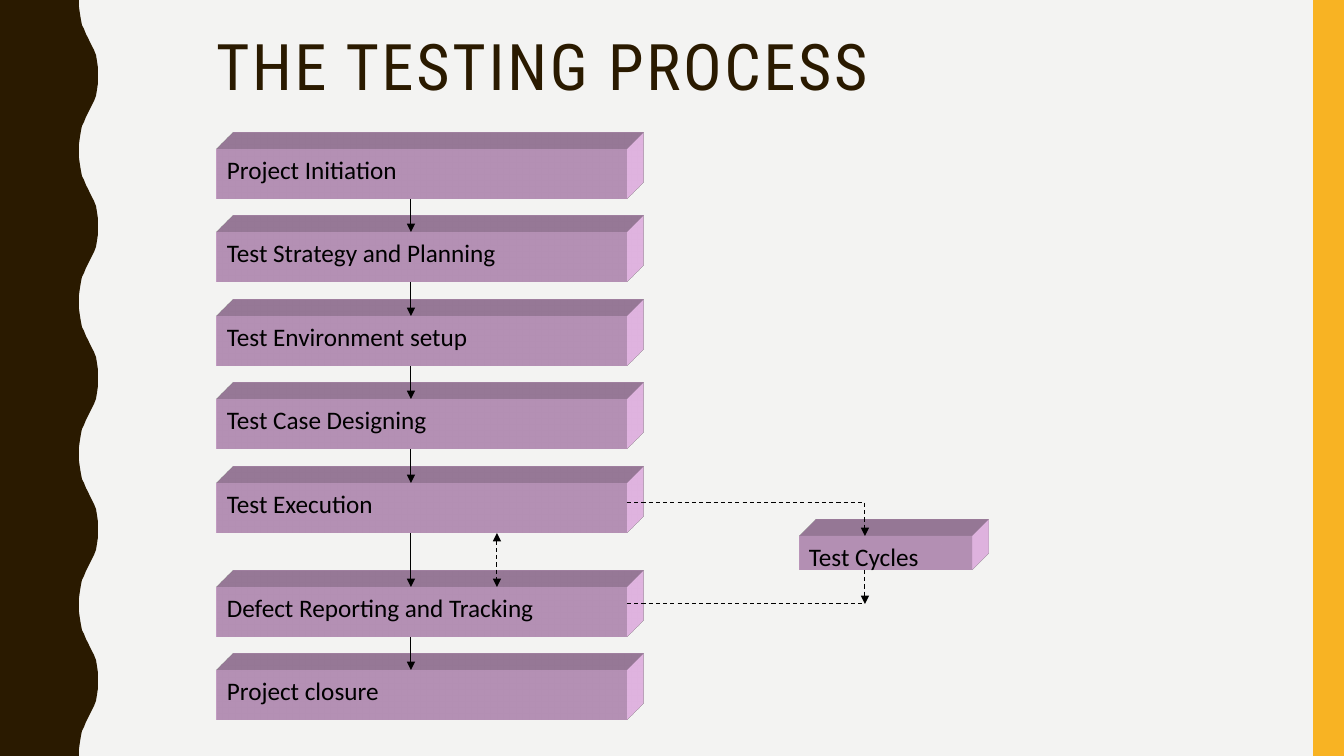
from lxml.etree import SubElement
from pptx import Presentation
from pptx.dml.color import RGBColor
from pptx.enum.dml import MSO_LINE
from pptx.enum.shapes import MSO_CONNECTOR, MSO_SHAPE
from pptx.enum.text import MSO_ANCHOR, PP_ALIGN
from pptx.oxml import parse_xml
from pptx.oxml.ns import nsdecls, qn
from pptx.util import Pt

TITLE = "THE TESTING PROCESS"
STEPS = [
    "Project Initiation",
    "Test Strategy and Planning",
    "Test Environment setup",
    "Test Case Designing",
    "Test Execution",
    "Defect Reporting and Tracking",
    "Project closure",
]
CYCLES = "Test Cycles"

PAPER, BROWN, GOLD, PINK, BLACK = "F3F3F2", "2A1A00", "F8B323", "FFCCFF", "000000"
SCALE = 914400 / 100.8
WIDTH, HEIGHT = 1344, 756
WAVES = 5
HALF_WAVE = [(79, 0), (79, 7), (80, 14), (81, 20), (82, 25), (84, 29), (86, 34), (88, 38),
             (90, 42), (92, 46), (94, 50), (96, 55), (97, 61), (98, 68), (98, 76)]
STEP_LEFT, STEP_TOP, STEP_WIDTH, STEP_HEIGHT = 217, 149, 410, 50
STEP_PITCH, EXTRA_GAP, EXECUTION = 83.4, 21, 4
FLOW_X, LOOP_X, CYCLES_X = 411, 497, 865
CYCLES_BOX = (799, 536, 173, 34)
BRANCH_DROP = 20

SCENE = """<a:scene3d %s><a:camera prst="legacyObliqueTopRight"/>
<a:lightRig rig="legacyFlat3" dir="b"/></a:scene3d>"""
SOLID = """<a:sp3d %s extrusionH="430200" prstMaterial="legacyMatte">
<a:bevelT w="13500" h="13500" prst="angle"/><a:bevelB w="13500" h="13500" prst="angle"/>
<a:extrusionClr><a:srgbClr val="FFCCFF"/></a:extrusionClr></a:sp3d>"""


def emu(length):
    return round(length * SCALE)


def colour(value):
    return RGBColor.from_string(value)


def paint(shape, value):
    shape.shadow.inherit = False
    shape.fill.solid()
    shape.fill.fore_color.rgb = colour(value)
    shape.line.fill.background()


def write(shape, text, font="Calibri", size=18, value=BLACK, wrap=True):
    frame = shape.text_frame
    frame.word_wrap = wrap
    frame.vertical_anchor = MSO_ANCHOR.TOP
    para = frame.paragraphs[0]
    para.alignment = PP_ALIGN.LEFT
    span = para.add_run()
    span.text = text
    span.font.name = font
    span.font.size = Pt(size)
    span.font.color.rgb = colour(value)
    return para, span


def add_rectangle(slide, bounds, value):
    box = slide.shapes.add_shape(MSO_SHAPE.RECTANGLE, *map(emu, bounds))
    paint(box, value)
    return box


def add_block(slide, text, bounds):
    block = add_rectangle(slide, bounds, PINK)
    for part in (SCENE, SOLID):
        block.element.spPr.append(parse_xml(part % nsdecls("a")))
    write(block, text)


def add_line(slide, start, end, dashed=False, head=False, tail=False):
    line = slide.shapes.add_connector(MSO_CONNECTOR.STRAIGHT, *map(emu, start + end))
    line.line.color.rgb = colour(BLACK)
    line.line.width = Pt(0.75)
    if dashed:
        line.line.dash_style = MSO_LINE.DASH
    outline = line.line._get_or_add_ln()
    for name, wanted in (("a:headEnd", head), ("a:tailEnd", tail)):
        if wanted:
            SubElement(outline, qn(name), type="triangle")
    SubElement(line.element.spPr, qn("a:effectLst"))


def add_wave(slide):
    period = HEIGHT / WAVES
    wave = HALF_WAVE + [(x, period - y) for x, y in reversed(HALF_WAVE[:-1])]
    edge = [(x, y + period * index) for index in range(WAVES) for x, y in wave]
    builder = slide.shapes.build_freeform(0, 0, scale=SCALE)
    builder.add_line_segments(edge + [(0, HEIGHT)], close=True)
    paint(builder.convert_to_shape(), BROWN)


def add_title(slide):
    title = slide.shapes.title
    title.left, title.top, title.width, title.height = map(emu, (206, 30, 930, 36))
    para, span = write(title, TITLE, font="Roboto Condensed", size=45.9, value=BROWN)
    para.line_spacing = 0.9
    span.font._element.set("spc", "200")


def add_process(slide):
    tops = [round(STEP_TOP + STEP_PITCH * index + EXTRA_GAP * (index > EXECUTION))
            for index in range(len(STEPS))]
    for text, top in zip(STEPS, tops):
        add_block(slide, text, (STEP_LEFT, top, STEP_WIDTH, STEP_HEIGHT))
    add_block(slide, CYCLES, CYCLES_BOX)

    for top, following in zip(tops, tops[1:]):
        add_line(slide, (FLOW_X, top + STEP_HEIGHT), (FLOW_X, following), tail=True)

    execution, defects = tops[EXECUTION:EXECUTION + 2]
    add_line(slide, (LOOP_X, execution + STEP_HEIGHT), (LOOP_X, defects),
             dashed=True, head=True, tail=True)
    upper, lower = execution + BRANCH_DROP, defects + BRANCH_DROP - 3
    for level in (upper, lower):
        add_line(slide, (STEP_LEFT + STEP_WIDTH, level), (CYCLES_X, level), dashed=True)
    cycles_top, cycles_height = CYCLES_BOX[1], CYCLES_BOX[3]
    for start, end in ((upper, cycles_top), (cycles_top + cycles_height, lower)):
        add_line(slide, (CYCLES_X, start), (CYCLES_X, end), dashed=True, tail=True)


def main():
    deck = Presentation()
    deck.slide_width, deck.slide_height = emu(WIDTH), emu(HEIGHT)
    slide = deck.slides.add_slide(deck.slide_layouts[5])
    slide.background.fill.solid()
    slide.background.fill.fore_color.rgb = colour(PAPER)
    add_wave(slide)
    add_rectangle(slide, (1313, 0, 31, HEIGHT), GOLD)
    add_title(slide)
    add_process(slide)
    deck.save("out.pptx")


if __name__ == "__main__":
    main()
